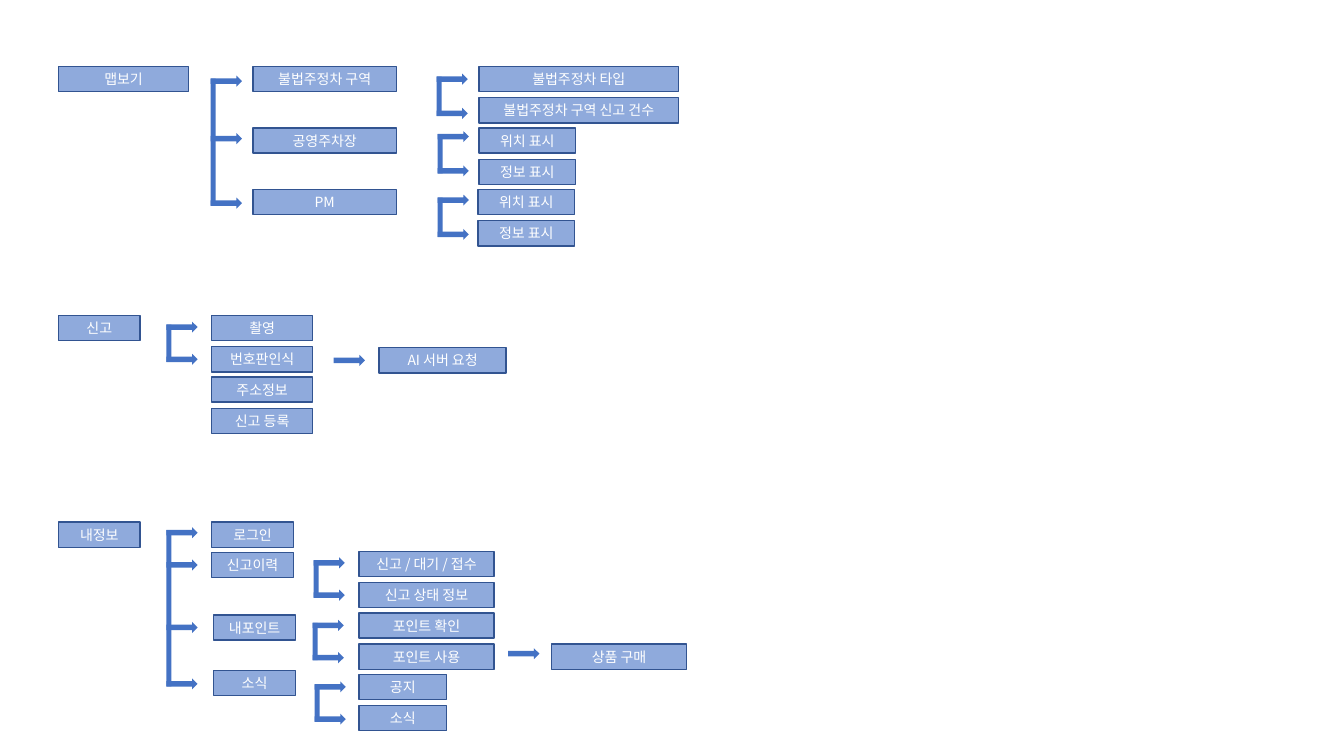
from pptx import Presentation
from pptx import util as u
from pptx.dml.color import RGBColor
from pptx.enum import shapes, text
from pptx.oxml import parse_xml
from pptx.oxml.ns import nsdecls

PX = 9144
FONT = "Noto Sans CJK KR"
COLORS = {"box": "8FAADC", "edge": "325491", "arrow": "4472C4", "text": "FFFFFF"}
BOX_H = 25
ROW_PITCH = 30.6
ARROW_W, ARROW_H, BAR_W = 31, 11, 5


def rgb(name):
    return RGBColor.from_string(COLORS[name])


def row(i):
    return round(i * ROW_PITCH)


def add_plain(parent, kind, x, y, w, h, fill):
    sp = parent.shapes.add_shape(kind, x * PX, y * PX, w * PX, h * PX)
    sp.shadow.inherit = False
    sp.fill.solid()
    sp.fill.fore_color.rgb = rgb(fill)
    sp.line.fill.background()
    return sp


def add_box(s, x, y, w, label):
    sp = add_plain(s, shapes.MSO_SHAPE.RECTANGLE, x, y, w, BOX_H, "box")
    sp.line.color.rgb = rgb("edge")
    sp.line.width = u.Pt(1)
    tf = sp.text_frame
    tf.word_wrap = True
    tf.margin_left = tf.margin_right = tf.margin_top = tf.margin_bottom = 0
    tf.vertical_anchor = text.MSO_ANCHOR.MIDDLE
    p = tf.paragraphs[0]
    p.alignment = text.PP_ALIGN.CENTER
    r = p.add_run()
    r.text = label
    r.font.size = u.Pt(10)
    r.font.color.rgb = rgb("text")
    r.font.name = FONT
    ea = parse_xml(f'<a:ea {nsdecls("a")} typeface="{FONT}"/>')
    r.font._element.append(ea)


def add_arrow(parent, x, y):
    add_plain(parent, shapes.MSO_SHAPE.RIGHT_ARROW, x, y, ARROW_W, ARROW_H, "arrow")


def add_bracket(s, x, ys):
    grp = s.shapes.add_group_shape()
    for y in ys:
        add_arrow(grp, x, y)
    top, bottom = ys[0] + 3, ys[-1] + 8
    add_plain(grp, shapes.MSO_SHAPE.RECTANGLE, x, top, BAR_W, bottom - top, "arrow")


def map_view(s, x, y):
    add_box(s, x, y, 129, "맵보기")
    add_bracket(s, x + 151, [y + 9, y + 66, y + 130])
    for i, label in enumerate(["불법주정차 구역", "공영주차장", "PM"]):
        add_box(s, x + 193, y + row(2 * i), 142, label)
    for dx, dy in [(375, 7), (376, 64), (376, 127)]:
        add_bracket(s, x + dx, [y + dy, y + dy + 34])
    details = [
        (417, 198, "불법주정차 타입"), (417, 198, "불법주정차 구역 신고 건수"),
        (417, 96, "위치 표시"), (417, 96, "정보 표시"),
        (416, 96, "위치 표시"), (416, 96, "정보 표시"),
    ]
    for i, (dx, w, label) in enumerate(details):
        add_box(s, x + dx, y + row(i), w, label)


def report(s, x, y):
    add_box(s, x, y, 81, "신고")
    add_bracket(s, x + 107, [y + 6, y + 38])
    for i, label in enumerate(["촬영", "번호판인식", "주소정보", "신고 등록"]):
        add_box(s, x + 152, y + row(i), 100, label)
    add_arrow(s, x + 273, y + 39)
    add_box(s, x + 318, y + 32, 126, "AI 서버 요청")


def my_info(s, x, y):
    add_box(s, x, y, 81, "내정보")
    add_bracket(s, x + 107, [y + 5, y + 37, y + 99, y + 155])
    menus = [(152, 0, "로그인"), (152, 30, "신고이력"),
             (154, 92, "내포인트"), (154, 147, "소식")]
    for dx, dy, label in menus:
        add_box(s, x + dx, y + dy, 81, label)
    for dx, dy in [(253, 35), (252, 97), (254, 158)]:
        add_bracket(s, x + dx, [y + dy, y + dy + 32])
    details = [
        (134, "신고 / 대기 / 접수"), (134, "신고 상태 정보"),
        (134, "포인트 확인"), (134, "포인트 사용"),
        (87, "공지"), (87, "소식"),
    ]
    for i, (w, label) in enumerate(details):
        add_box(s, x + 298, y + 29 + row(i), w, label)
    add_arrow(s, x + 446, y + 125)
    add_box(s, x + 489, y + 121, 134, "상품 구매")


def main():
    prs = Presentation()
    prs.slide_width = 1333 * PX
    prs.slide_height = 750 * PX
    s = prs.slides.add_slide(prs.slide_layouts[6])
    map_view(s, 58, 66)
    report(s, 58, 313)
    my_info(s, 58, 518)
    prs.save("out.pptx")


if __name__ == "__main__":
    main()
